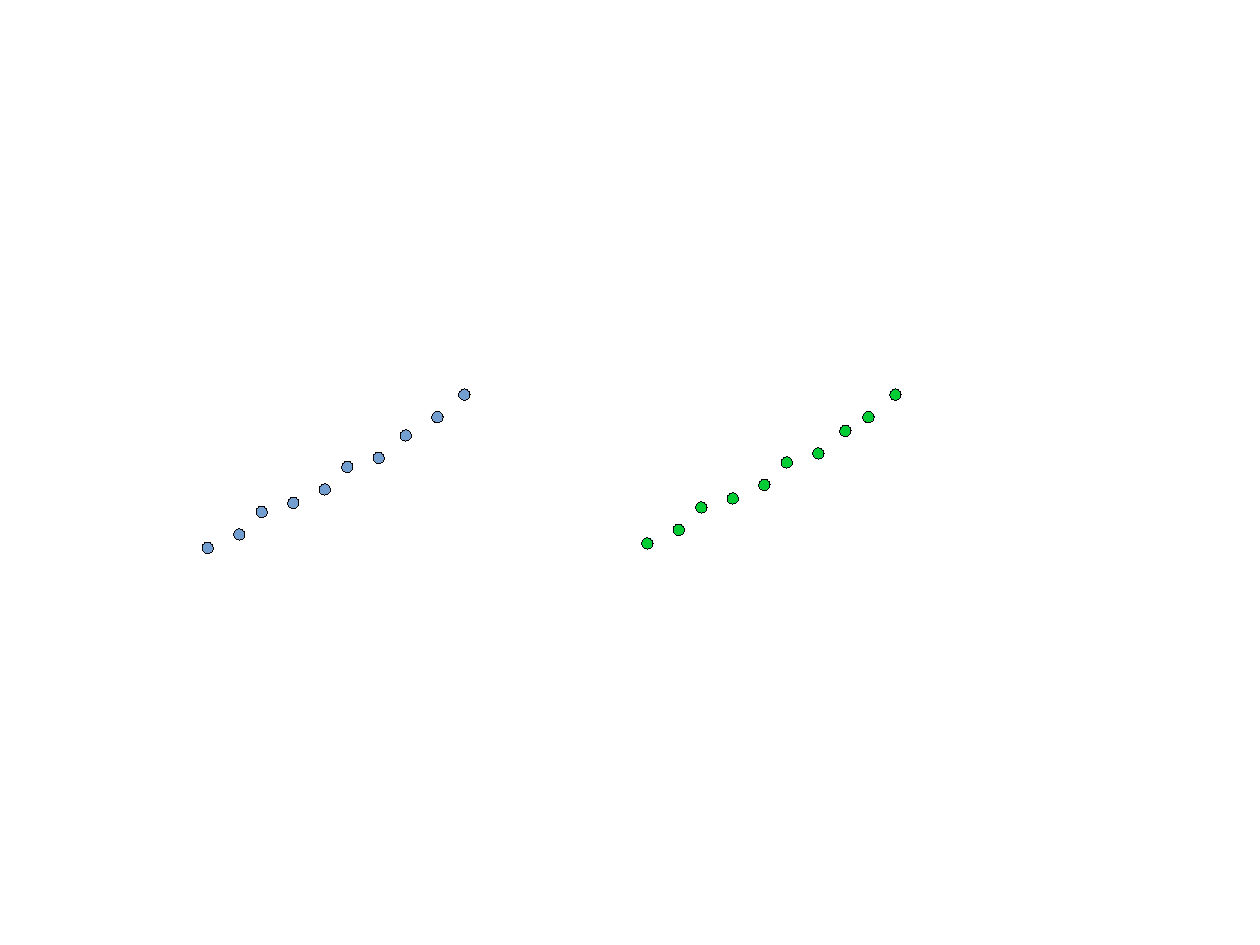
"""Build a slide with two rising series of dots, one blue and one green."""
from dataclasses import dataclass

from pptx import Presentation
from pptx import util as u
from pptx.dml import color
from pptx.enum import shapes
from pptx.oxml import ns
from pptx.slide import Slide


@dataclass(frozen=True)
class Theme:
    """Colours and sizes shared by the dots, lengths in points."""
    blue: str = "729FCF"
    green: str = "00CC33"
    outline: str = "000000"
    outline_width: float = 0
    dot_size: float = 7.2


@dataclass(frozen=True)
class Offset:
    """Distance of a dot from the start of its run, in points."""
    across: float
    rise: float


@dataclass(frozen=True)
class Run:
    """A run of dots with its starting corner in points and its colour."""
    left: float
    top: float
    fill: str
    offsets: tuple[Offset, ...]


THEME = Theme()
SLOPE = (
    Offset(0, 0), Offset(19.84, 8.5), Offset(34.02, 22.68), Offset(53.86, 28.35),
    Offset(73.7, 36.85), Offset(87.87, 51.02), Offset(107.72, 56.69), Offset(124.72, 70.87),
)
SUMMIT = (Offset(0, 0), Offset(17.01, 14.17))
RUNS = (
    Run(127.3, 341.5, THEME.blue, SLOPE),
    Run(404.2, 338.65, THEME.green, SLOPE),
    Run(271.9, 259.1, THEME.blue, SUMMIT),
    Run(543.4, 259.1, THEME.green, SUMMIT),
)


def draw_dot(slide: Slide, left: float, top: float, fill: str) -> None:
    """Draw one dot with a hairline outline."""
    dot = slide.shapes.add_shape(
        shapes.MSO_SHAPE.OVAL, u.Pt(left), u.Pt(top),
        u.Pt(THEME.dot_size), u.Pt(THEME.dot_size))
    dot.shadow.inherit = False
    dot.fill.solid()
    dot.fill.fore_color.rgb = color.RGBColor.from_string(fill)
    dot.line.color.rgb = color.RGBColor.from_string(THEME.outline)
    outline = dot.element.spPr.find(ns.qn("a:ln"))
    outline.set("w", str(int(u.Pt(THEME.outline_width))))


def draw_run(slide: Slide, run: Run) -> None:
    """Draw every dot of a run, climbing from its start."""
    for offset in run.offsets:
        draw_dot(slide, run.left + offset.across, run.top - offset.rise, run.fill)


def main() -> None:
    """Create and save the slide."""
    deck = Presentation()
    deck.slide_width, deck.slide_height = u.Pt(793.7), u.Pt(595.28)
    slide = deck.slides.add_slide(deck.slide_layouts[6])
    for run in RUNS:
        draw_run(slide, run)
    deck.save("out.pptx")


if __name__ == "__main__":
    main()
